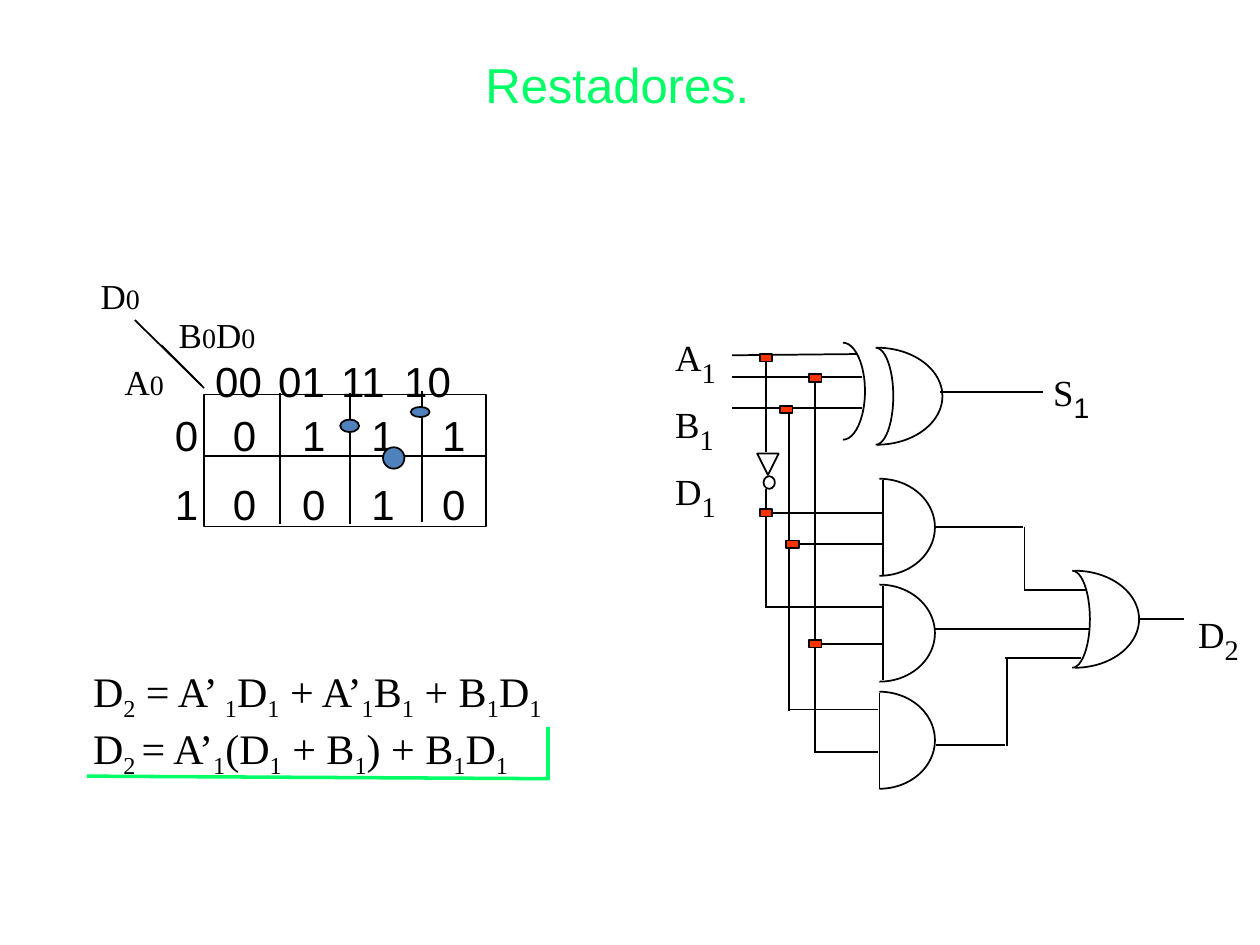
from lxml.etree import SubElement
from pptx import Presentation
from pptx.dml.color import RGBColor
from pptx.enum.shapes import MSO_CONNECTOR as Link, MSO_SHAPE as Kind
from pptx.enum.text import MSO_ANCHOR as Anchor, PP_ALIGN as Align
from pptx.oxml.ns import qn
from pptx.util import Inches, Pt

CELL = Inches(0.1)
BLACK, GREEN, BLUE, RED = "000000", "00FF66", "4F81BD", "FF3300"
SERIF, SANS = "Times New Roman", "Arial"
colour = RGBColor.from_string

deck = Presentation()
deck.slide_width, deck.slide_height = 100 * CELL, 75 * CELL
page = deck.slides.add_slide(deck.slide_layouts[6])


def grid(*cells):
    return [int(cell * CELL) for cell in cells]


def wire(ends, tint=BLACK, weight=1, start=None, stop=None):
    line = page.shapes.add_connector(Link.STRAIGHT, *grid(*ends))
    line.line.color.rgb = colour(tint)
    line.line.width = Pt(weight)
    SubElement(line._element.spPr, qn("a:effectLst"))
    if start:
        line.begin_connect(*start)
    if stop:
        line.end_connect(*stop)


HEAD_TABS = (10, 14.7, 20)
ROW_TABS = (4.6, 10.1, 15.6, 21.2)
serif = {"name": SERIF, "size": Pt(21), "color": BLACK}
small = {"name": SERIF, "size": Pt(28), "color": BLACK}
label = {**serif, "size": Pt(20)}
index = {**serif, "size": Pt(16)}
formula = {**serif, "size": Pt(24)}
digits = {"name": SANS, "size": Pt(24), "color": BLACK}
heading = {"name": SANS, "size": Pt(28), "color": GREEN}

texts = [
    ((6.5, 0, 85, 13.3), heading, heading, 0, [("Restadores.", 0, (), 0)]),
    ((12.9, 27.7, 27, 14), digits, digits, 0, [
        ("00\t01\t11\t10", 3.2, HEAD_TABS, 0),
        ("0\t0\t1\t1\t1", 0, ROW_TABS, 2),
        ("1\t0\t0\t1\t0", 0, ROW_TABS, 11)]),
    ((8.9, 24.4, 13, 8), label, index, 0, [
        ("B|0|D|0", 4.3, (), 0), ("A|0", 0, (), 3)]),
    ((7, 21.3, 5.1, 4.3), label, index, 0, [("D|0", 0, (), 0)]),
    ((6.4, 52.3, 40, 9), formula, formula, -25, [
        ("D|2| = A’ |1|D|1| + A’|1|B|1| + B|1|D|1", 0, (), 0),
        ("D|2 |= A’|1|(D|1| + B|1|) + B|1|D|1", 0, (), 0)]),
    ((52.6, 25.1, 6, 15), serif, small, -25, [
        (f"{name}|1", 0, (), 0) for name in "ABD"]),
    ((82.6, 27.9, 6, 5), serif, {**small, "name": SANS}, -25, [("S|1", 0, (), 0)]),
    ((94.1, 47.1, 5.9, 4.5), serif, small, -25, [("D|2", 0, (), 0)]),
]

for place, main, sub, drop, lines in texts:
    box = page.shapes.add_textbox(*grid(*place))
    frame = box.text_frame
    frame.word_wrap = True
    if main is heading:
        frame.vertical_anchor = Anchor.MIDDLE
    for row, (words, indent, tabs, gap) in enumerate(lines):
        para = frame.add_paragraph() if row else frame.paragraphs[0]
        para.alignment = Align.CENTER if main is heading else Align.LEFT
        props = para._p.get_or_add_pPr()
        if indent:
            props.set("marL", str(int(indent * CELL)))
            props.set("indent", "0")
        if tabs:
            stops = SubElement(props, qn("a:tabLst"))
            for tab in tabs:
                SubElement(stops, qn("a:tab"), pos=str(int(tab * CELL)), algn="l")
        if gap:
            para.space_before = Pt(gap)
        for part, piece in enumerate(words.split("|")):
            span = para.add_run()
            span.text = piece
            for key, value in (sub if part % 2 else main).items():
                if key == "color":
                    span.font.color.rgb = colour(value)
                else:
                    setattr(span.font, key, value)
            if part % 2 and drop:
                span._r.get_or_add_rPr().set("baseline", str(drop * 1000))

map_lines = [
    (22.2, 31.2, 22.2, 41.6), (27.8, 31.2, 27.8, 41.6), (33.5, 31, 33.5, 41.4),
    (38.5, 36.2, 16.2, 36.2), (16.2, 30.8, 12.8, 27.4), (16, 30.6, 10.7, 25.4),
]
xor_wires = [
    (68, 28.1, 58.1, 28.2), (58.1, 29.9, 68.4, 29.9),
    (58.1, 32.4, 68.4, 32.4), (74.6, 31.1, 82.8, 31.1),
]
and_bars = [(70.1, 38.1, 70.1, 45.7), (70.1, 46.5, 70.1, 54), (69.8, 55, 69.8, 62.6)]
or_wires = [
    (74.3, 41.8, 81.2, 41.8), (81.3, 41.8, 81.3, 46.8), (81.3, 46.8, 86.2, 46.8),
    (74.2, 49.9, 86.5, 49.9), (74.3, 59.1, 79.8, 59.1), (79.9, 59.2, 79.9, 52.2),
    (79.8, 52.2, 85.8, 52.2), (90.3, 49.1, 94, 49.1),
]
and_wires = [
    (60.7, 48.2, 70.2, 48.2), (62.7, 56.3, 69.7, 56.3),
    (64.7, 59.7, 69.7, 59.7), (62.6, 32.4, 62.6, 56.4),
]
for ends in map_lines + xor_wires + and_bars + or_wires + and_wires:
    wire(ends)

arcs = [(69.6, 27.6, 5.2), (69.5, 27.6, 1.4), (66.9, 27.2, 1.75),
        (85.3, 45.3, 5.1), (85.1, 45.3, 1.4)]
arcs += [(69.8, top, 4.4) for top in (38, 46.4, 54.9)]
nodes_at = [(60.3, 28.1), (64.2, 29.7), (61.9, 32.2),
            (60.3, 40.4), (62.4, 42.9), (64.2, 50.8)]

shapes = [(Kind.ARC, (middle - reach, top, 2 * reach, 7.7), None)
          for middle, top, reach in arcs]
shapes += [
    (Kind.RECTANGLE, (16.2, 31.3, 22.4, 10.5), None),
    (Kind.OVAL, (27, 33.3, 1.5, 1), BLUE),
    (Kind.OVAL, (30.4, 35.5, 1.7, 1.7), BLUE),
    (Kind.OVAL, (32.6, 32.3, 1.5, 0.8), BLUE),
    (Kind.ISOSCELES_TRIANGLE, (60.1, 36, 1.7, 1.7), None),
    (Kind.OVAL, (60.6, 37.8, 0.9, 1), None),
]
shapes += [(Kind.RECTANGLE, (*corner, 1, 0.6), RED) for corner in nodes_at]

nodes = []
for kind, place, fill in shapes:
    shape = page.shapes.add_shape(kind, *grid(*place))
    shape.shadow.inherit = False
    shape.line.color.rgb = colour(BLACK)
    shape.line.width = Pt(1)
    if fill:
        shape.fill.solid()
        shape.fill.fore_color.rgb = colour(fill)
    else:
        shape.fill.background()
    if kind == Kind.ARC:
        shape.adjustments[0], shape.adjustments[1] = 162, 54
    if kind == Kind.ISOSCELES_TRIANGLE:
        shape.rotation = 180
    if fill == RED:
        nodes.append(shape)

a_tap, b_tap, d_tap, not_out, and_in, low_tap = nodes
wire((60.8, 28.7, 60.8, 35.9), start=(a_tap, 2))
wire((60.8, 38.8, 60.8, 40.4), stop=(not_out, 0))
wire((60.8, 41, 60.8, 48.2), start=(not_out, 2))
wire((61.3, 40.7, 70, 40.7), start=(not_out, 3))
wire((63.4, 43.2, 70.1, 43.2), start=(and_in, 3))
wire((65.2, 51.1, 70.2, 51.1), start=(low_tap, 3))
wire((64.7, 30.3, 64.7, 50.8), start=(b_tap, 2), stop=(low_tap, 0))
wire((64.7, 51.4, 64.7, 59.8), start=(low_tap, 2))

for ends in [(6.9, 61.6, 43.5, 61.8), (43.5, 61.9, 43.5, 57.7)]:
    wire(ends, GREEN, 2)

deck.save("out.pptx")
